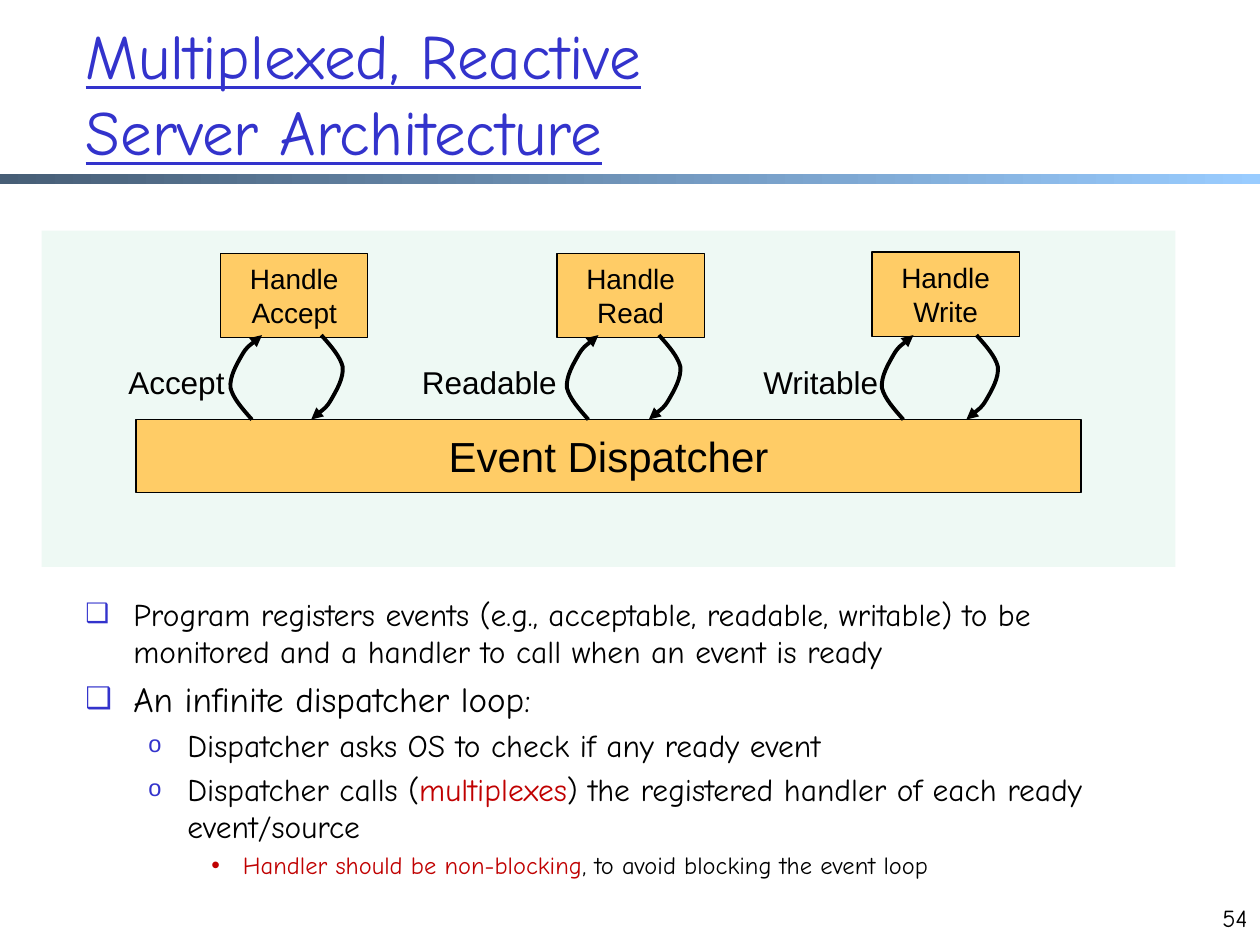
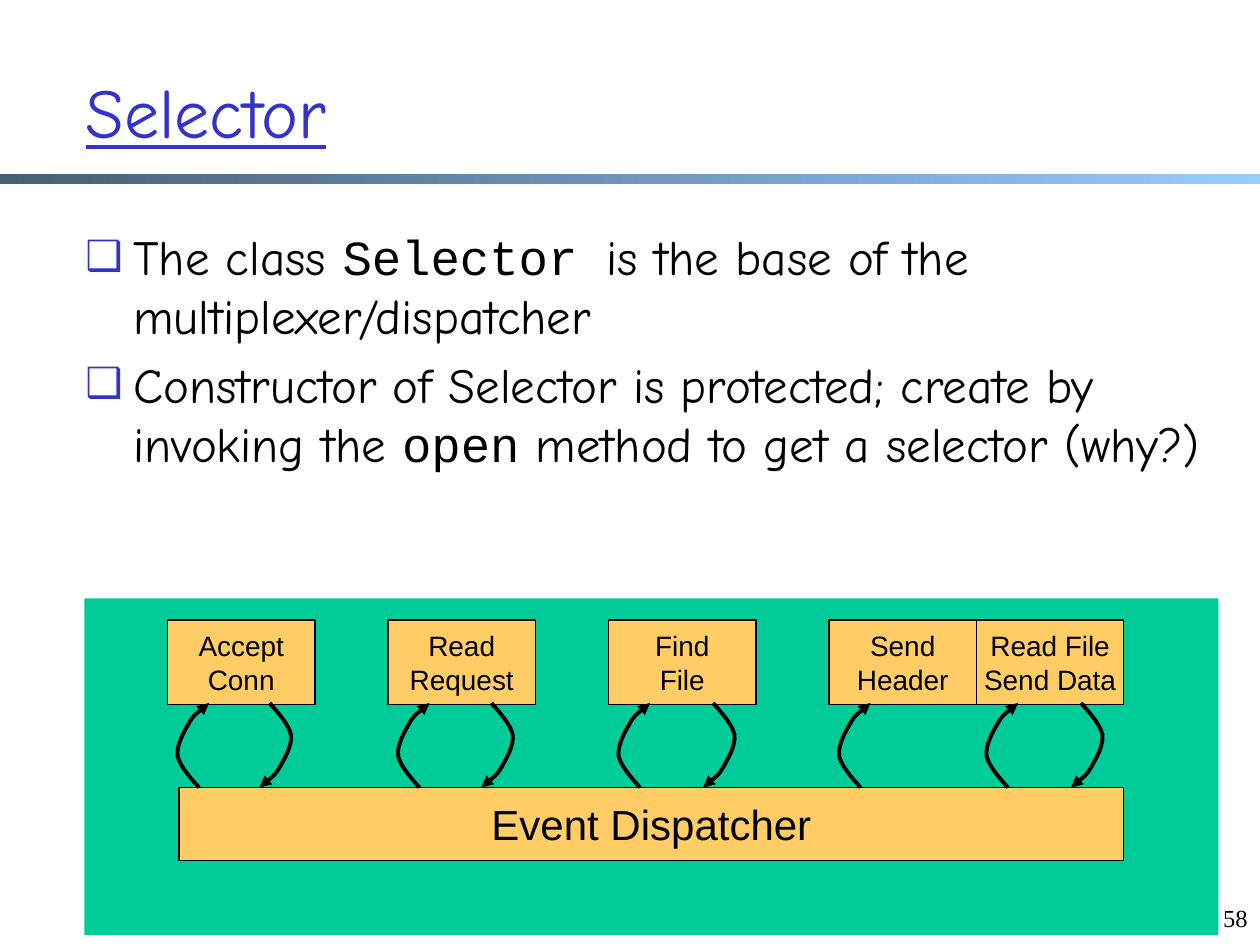
from dataclasses import dataclass
from typing import NamedTuple, Optional

from lxml.etree import SubElement
from pptx import Presentation
from pptx.dml.color import RGBColor
from pptx.enum.shapes import MSO_SHAPE as Preset
from pptx.enum.text import MSO_ANCHOR as Anchor, MSO_AUTO_SIZE as AutoSize, PP_ALIGN as Align
from pptx.oxml.ns import qn
from pptx.util import Inches, Pt

BLACK = "000000"
BLUE = "3333CC"
RED = "C00000"
ORANGE = "FFCC66"
BAND_START, BAND_END = "475E76", "99CCFF"
BODY_FONT = "Comic Neue"
DIAGRAM_FONT = "Arial"
CODE_FONT = "Courier New"

BOX_WIDTH, BOX_HEIGHT = 1.17, 0.67
LOOP_WIDTH, LOOP_HEIGHT = 0.26, 0.67
# Three joined Bezier curves, from the dispatcher up to a handler.
LOOP_CONTROLS = [(0.18, 0.67), (0.1, 0.58), (0.03, 0.5), (0.01, 0.42), (0, 0.33),
                 (0.06, 0.23), (0.1, 0.16), (0.14, 0.09), (0.24, 0.02), (0.26, 0)]


class Span(NamedTuple):
    text: str
    color: str = BLACK
    font: str = BODY_FONT


class BulletStyle(NamedTuple):
    symbol: str
    left: float
    hanging: float
    percent: int
    color: Optional[str]


BULLET_STYLES = [
    BulletStyle("❑", 0.38, 0.38, 85, BLUE),
    BulletStyle("o", 0.81, 0.31, 75, BLUE),
    BulletStyle("•", 1.25, 0.25, 100, None),
]


@dataclass
class Bullet:
    level: int
    size: int
    spans: list[Span]


@dataclass
class Handler:
    text: str
    left: float
    return_left: Optional[float]  # left of the arrow back to the dispatcher
    top_offset: float = 0.17


@dataclass
class EventLabel:
    text: str
    left: float
    width: float


@dataclass
class Diagram:
    left: float
    top: float
    color: str
    handlers: list[Handler]
    labels: list[EventLabel]


@dataclass
class SlideContent:
    title: str
    title_top: float
    title_size: int
    body_box: tuple[float, float, float, float]
    bullets: list[Bullet]
    diagram: Diagram
    number: str
    number_font: str


def rgb(color: str) -> RGBColor:
    return RGBColor.from_string(color)


def inches(*values: float) -> list:
    return [Inches(value) for value in values]


def write(paragraph, text: str, *, size: float, font: str = BODY_FONT, color: str = BLACK,
          underline: bool = False, align: Align = Align.LEFT) -> None:
    """Append text to a paragraph, with a line break at each vertical tab."""
    paragraph.alignment = align
    for index, line in enumerate(text.split("\v")):
        if index:
            paragraph.add_line_break()
        run = paragraph.add_run()
        run.text = line
        run.font.size = Pt(size)
        run.font.name = font
        run.font.color.rgb = rgb(color)
        run.font.underline = underline


def add_text(slide, box: tuple, text: str, *, wrap: bool = True, **text_format) -> None:
    frame = slide.shapes.add_textbox(*inches(*box)).text_frame
    frame.word_wrap = wrap
    write(frame.paragraphs[0], text, **text_format)


def add_rectangle(slide, box: tuple, color: Optional[str] = None):
    shape = slide.shapes.add_shape(Preset.RECTANGLE, *inches(*box))
    shape.shadow.inherit = False
    shape.line.fill.background()
    if color:
        shape.fill.solid()
        shape.fill.fore_color.rgb = rgb(color)
    return shape


def add_labelled_box(slide, box: tuple, text: str, size: int) -> None:
    """Draw a box with a centred paragraph for each line of text."""
    shape = add_rectangle(slide, box, ORANGE)
    shape.line.color.rgb = rgb(BLACK)
    shape.line.width = Pt(0.75)
    frame = shape.text_frame
    frame.word_wrap = False
    frame.vertical_anchor = Anchor.MIDDLE
    for index, line in enumerate(text.split("\n")):
        paragraph = frame.add_paragraph() if index else frame.paragraphs[0]
        write(paragraph, line, size=size, font=DIAGRAM_FONT, align=Align.CENTER)


def add_band(slide) -> None:
    fill = add_rectangle(slide, (0, 1.38, 10, 0.08)).fill
    fill.gradient()
    fill.gradient_angle = 0
    for stop, position, color in zip(fill.gradient_stops, (0, 1), (BAND_START, BAND_END)):
        stop.position = position
        stop.color.rgb = rgb(color)


def add_title(slide, content: SlideContent) -> None:
    title = slide.shapes.title
    title.left, title.top, title.width, title.height = inches(0.58, content.title_top, 8.5, 1.25)
    frame = title.text_frame
    frame.auto_size = AutoSize.NONE
    frame.vertical_anchor = Anchor.MIDDLE
    write(frame.paragraphs[0], content.title, size=content.title_size, color=BLUE, underline=True)


def set_bullet(paragraph, style: BulletStyle) -> None:
    properties = paragraph._p.get_or_add_pPr()
    properties.set("marL", str(Inches(style.left)))
    properties.set("indent", str(-Inches(style.hanging)))
    if style.color:
        color = SubElement(properties, qn("a:buClr"))
        SubElement(color, qn("a:srgbClr"), val=style.color)
    SubElement(properties, qn("a:buSzPct"), val=str(style.percent * 1000))
    SubElement(properties, qn("a:buFont"), typeface=DIAGRAM_FONT)
    SubElement(properties, qn("a:buChar"), char=style.symbol)


def add_body(slide, box: tuple, bullets: list[Bullet]) -> None:
    frame = slide.shapes.add_textbox(*inches(*box)).text_frame
    frame.word_wrap = True
    for index, bullet in enumerate(bullets):
        paragraph = frame.add_paragraph() if index else frame.paragraphs[0]
        set_bullet(paragraph, BULLET_STYLES[bullet.level])
        paragraph.level = bullet.level
        paragraph.space_before = Pt(bullet.size * 0.2 if index else 0)
        for span in bullet.spans:
            write(paragraph, span.text, size=bullet.size, font=span.font, color=span.color)


def curve_segments(freeform) -> None:
    """Turn each three straight segments of a freeform into one Bezier curve."""
    segments = list(freeform.element.iter(qn("a:lnTo")))
    outline = segments[0].getparent()
    for first in range(0, len(segments), 3):
        curve = SubElement(outline, qn("a:cubicBezTo"))
        for segment in segments[first:first + 3]:
            curve.append(segment[0])
            outline.remove(segment)


def add_loop_arrow(slide, left: float, top: float, downward: bool = False) -> None:
    """Draw a curved arrow; the downward one is the upward one turned by half."""
    points = LOOP_CONTROLS
    if downward:
        points = [(LOOP_WIDTH - x, LOOP_HEIGHT - y) for x, y in points]
    start, *rest = [tuple(inches(left + x, top + y)) for x, y in points]
    builder = slide.shapes.build_freeform(*start)
    builder.add_line_segments(rest, close=False)
    arrow = builder.convert_to_shape()
    curve_segments(arrow)
    arrow.shadow.inherit = False
    arrow.fill.background()
    arrow.line.color.rgb = rgb(BLACK)
    arrow.line.width = Pt(2.25)
    SubElement(arrow.element.spPr.find(qn("a:ln")), qn("a:tailEnd"), type="triangle")


def add_diagram(slide, diagram: Diagram) -> None:
    left, top = diagram.left, diagram.top
    add_rectangle(slide, (left, top, 9, 2.67), diagram.color)
    for handler in diagram.handlers:
        add_labelled_box(slide, (handler.left, top + handler.top_offset, BOX_WIDTH, BOX_HEIGHT),
                         handler.text, 16)
    add_labelled_box(slide, (left + 0.75, top + 1.5, 7.5, 0.58), "Event Dispatcher", 24)
    for handler in diagram.handlers:
        add_loop_arrow(slide, handler.left + 0.07, top + 0.83)
        if handler.return_left is not None:
            add_loop_arrow(slide, handler.return_left, top + 0.83, downward=True)
    for label in diagram.labels:
        add_text(slide, (label.left, top + 1, label.width, 0.4), label.text,
                 wrap=False, size=18, font=DIAGRAM_FONT)


def add_slide(presentation, content: SlideContent) -> None:
    slide = presentation.slides.add_slide(presentation.slide_layouts[5])
    add_band(slide)
    add_title(slide, content)
    add_body(slide, content.body_box, content.bullets)
    add_diagram(slide, content.diagram)
    add_text(slide, (9.5, 7.12, 0.5, 0.5), content.number,
             size=14, font=content.number_font, align=Align.RIGHT)


ARCHITECTURE = SlideContent(
    title="Multiplexed, Reactive\vServer Architecture", title_top=0.11, title_size=36,
    body_box=(0.58, 4.67, 8.5, 2.58),
    bullets=[
        Bullet(0, 18, [Span("Program registers events (e.g., acceptable, readable, writable) "
                            "to be monitored and a handler to call when an event is ready")]),
        Bullet(0, 20, [Span("An infinite dispatcher loop:")]),
        Bullet(1, 18, [Span("Dispatcher asks OS to check if any ready event")]),
        Bullet(1, 18, [Span("Dispatcher calls ("), Span("multiplexes", RED),
                       Span(") the registered handler of each ready event/source")]),
        Bullet(2, 14, [Span("Handler should be non-blocking", RED),
                       Span(", to avoid blocking the event loop")]),
    ],
    diagram=Diagram(
        0.33, 1.83, "EEF9F4",
        handlers=[Handler("Handle\vAccept", 1.75, 2.47, 0.18),
                  Handler("Handle\vRead", 4.42, 5.15, 0.18),
                  Handler("Handle\vWrite", 6.92, 7.67)],
        labels=[EventLabel("Accept", 0.92, 0.97), EventLabel("Readable", 3.25, 1.28),
                EventLabel("Writable", 5.96, 1.12)]),
    number="54", number_font=BODY_FONT)

SELECTOR = SlideContent(
    title="Selector", title_top=0.25, title_size=40,
    body_box=(0.58, 1.75, 9.08, 5.08),
    bullets=[
        Bullet(0, 28, [Span("The class "), Span("Selector ", font=CODE_FONT),
                       Span("is the base of the multiplexer/dispatcher")]),
        Bullet(0, 28, [Span("Constructor of Selector is protected; create by invoking the "),
                       Span("open", font=CODE_FONT),
                       Span(" method to get a selector (why?)")]),
    ],
    diagram=Diagram(
        0.67, 4.75, "00CC99",
        handlers=[Handler("Accept\nConn", 1.33, 2.06), Handler("Read\nRequest", 3.08, 3.82),
                  Handler("Find\nFile", 4.83, 5.58), Handler("Send\nHeader", 6.58, None),
                  Handler("Read File\nSend Data", 7.75, 8.5)],
        labels=[]),
    number="58", number_font="Times New Roman")


def main() -> None:
    presentation = Presentation()
    presentation.slide_width, presentation.slide_height = inches(10, 7.5)
    for content in (ARCHITECTURE, SELECTOR):
        add_slide(presentation, content)
    presentation.save("out.pptx")


if __name__ == "__main__":
    main()
